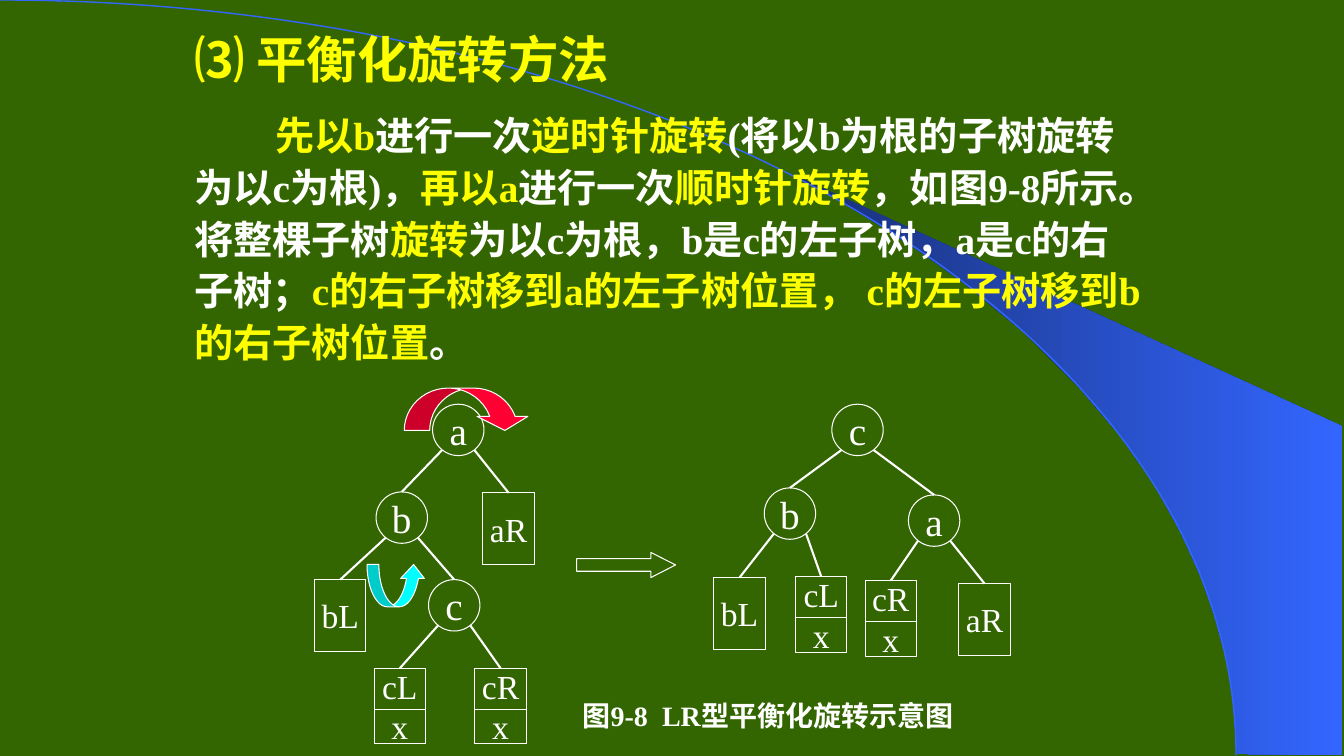
"""Build the slide on the LR balancing rotation of a binary tree."""
import math
import pptx
import pptx.dml.color
import pptx.enum.shapes
import pptx.enum.text
import pptx.oxml.ns
import pptx.util
from lxml import etree

Inches, Pt = pptx.util.Inches, pptx.util.Pt
KIND = pptx.enum.shapes.MSO_SHAPE
ALIGN = pptx.enum.text.PP_ALIGN
MIDDLE = pptx.enum.text.MSO_ANCHOR.MIDDLE
LATIN, HAN = "Times New Roman", "Noto Sans CJK SC"
GREEN, WHITE, YELLOW = "336600", "FFFFFF", "FFFF00"
BLUE, NAVY, CYAN, RED = "3366FF", "182F76", "00FFFF", "FF0033"

TITLE = "⑶ 平衡化旋转方法"
BODY = [
    ("先以b", YELLOW), ("进行一次", WHITE), ("逆时针旋转", YELLOW),
    ("(将以b为根的子树旋转为以c为根)，", WHITE), ("再以a", YELLOW),
    ("进行一次", WHITE), ("顺时针旋转", YELLOW),
    ("，如图9-8所示。将整棵子树", WHITE), ("旋转", YELLOW),
    ("为以c为根，b是c的左子树，a是c的右子树；", WHITE),
    ("c的右子树移到a的左子树位置， c的左子树移到b的右子树位置", YELLOW),
    ("。", WHITE),
]
CAPTION = [("图9-8  LR型平衡", False), ("化旋转示意图", True)]
BODY_BOX = (1.83, 0.17, 9.64, 3.58)
NOTE_BOX = (5.68, 6.9, 4.3, 0.39)

SWOOSH = [
    (12.27, 7.48), (13.31, 7.49), (13.31, 4.23), (7.86, 1.73), (8.32, 1.99),
    (8.7, 2.22), (9.13, 2.5), (9.55, 2.8), (10.16, 3.3), (10.7, 3.84),
    (11.1, 4.31), (11.44, 4.79), (11.71, 5.28), (11.91, 5.72),
    (12.04, 6.09), (12.17, 6.56), (12.23, 6.96),
]
ARC_WIDE, ARC_HIGH, STEPS = 12.26, 7.49, 90

SIDE = 0.51
HEIGHT = {"node": SIDE, "leaf": 0.71, "split": 0.75}
SPLIT_AT = 0.41
START_X, START_Y = 0.16, 0.2
TREES = [
    {"nodes": {"a": ("node", 4.29, 4.01), "b": ("node", 3.73, 4.88),
               "aR": ("leaf", 4.79, 4.89), "bL": ("leaf", 3.12, 5.75),
               "c": ("node", 4.25, 5.75), "cL": ("split", 3.71, 6.63),
               "cR": ("split", 4.71, 6.63)},
     "kids": {"a": ("b", "aR"), "b": ("bL", "c"), "c": ("cL", "cR")}},
    {"nodes": {"c": ("node", 8.25, 4.01), "b": ("node", 7.58, 4.84),
               "a": ("node", 9.01, 4.91), "bL": ("leaf", 7.08, 5.73),
               "cL": ("split", 7.89, 5.72), "cR": ("split", 8.58, 5.76),
               "aR": ("leaf", 9.51, 5.79)},
     "kids": {"c": ("b", "a"), "b": ("bL", "cL"), "a": ("cR", "aR")}},
]
ARROWS = [
    (KIND.RIGHT_ARROW, (5.72, 5.48, 0.98, 0.25), (0.5, 0.98), None),
    (KIND.CURVED_UP_ARROW, (3.64, 5.6, 0.58, 0.42), (0.28, 0.56, 0.33), CYAN),
    (KIND.CURVED_DOWN_ARROW, (4.01, 3.85, 1.25, 0.42), (0.6, 1.2, 0.33), RED),
]


def tint(target, color):
    target.rgb = pptx.dml.color.RGBColor.from_string(color)


def style(shape, fill=None, line=WHITE, width=0.75):
    shape.shadow.inherit = False
    if fill:
        shape.fill.solid()
        tint(shape.fill.fore_color, fill)
    else:
        shape.fill.background()
    tint(shape.line.color, line)
    shape.line.width = Pt(width)


def write(para, text, size, color=WHITE, bold=False, han=False):
    run = para.add_run()
    run.text = text
    font = run.font
    font.size, font.bold, font.name = Pt(size), bold, LATIN
    tint(font.color, color)
    if han:
        face = etree.SubElement(font._element, pptx.oxml.ns.qn("a:ea"))
        face.set("typeface", HAN)


def add_text(box):
    text = shapes.add_textbox(*(Inches(v) for v in box)).text_frame
    text.word_wrap = True
    return text


def link(start, end, width):
    line = shapes.add_connector(
        pptx.enum.shapes.MSO_CONNECTOR.STRAIGHT,
        *(Inches(v) for v in start + end))
    tint(line.line.color, WHITE)
    line.line.width = Pt(width)
    etree.SubElement(line._element.spPr, pptx.oxml.ns.qn("a:effectLst"))
    return line


def trace(points, close):
    first, *rest = [(Inches(x), Inches(y)) for x, y in points]
    pen = shapes.build_freeform(*first)
    pen.add_line_segments(rest, close=close)
    return pen.convert_to_shape()


def add_node(name, kind, left, top):
    form = KIND.OVAL if kind == "node" else KIND.RECTANGLE
    box = (left, top, SIDE, HEIGHT[kind])
    shape = shapes.add_shape(form, *(Inches(v) for v in box))
    style(shape)
    text = shape.text_frame
    text.word_wrap = False
    text.vertical_anchor = MIDDLE
    words = [name, "x"] if kind == "split" else [name]
    for i, word in enumerate(words):
        para = text.add_paragraph() if i else text.paragraphs[0]
        para.alignment = ALIGN.CENTER
        write(para, word, 28 if kind == "node" else 24)
    if kind == "split":
        y = top + SPLIT_AT
        link((left, y), (left + SIDE, y), 0.75)
    return shape


def add_tree(nodes, kids):
    made = {name: add_node(name, *spot) for name, spot in nodes.items()}
    for name, pair in kids.items():
        _, left, top = nodes[name]
        mid = left + SIDE / 2
        for kid, sign in zip(pair, (-1, 1)):
            _, x, y = nodes[kid]
            start = (mid + sign * START_X, top + SIDE / 2 + START_Y)
            edge = link(start, (x + SIDE / 2, y), 1.5)
            edge.end_connect(made[kid], 0)


deck = pptx.Presentation()
deck.slide_width, deck.slide_height = Inches(13.33), Inches(7.5)
slide = deck.slides.add_slide(deck.slide_layouts[6])
shapes = slide.shapes
slide.background.fill.solid()
tint(slide.background.fill.fore_color, GREEN)

swoosh = trace(SWOOSH, True)
style(swoosh)
swoosh.line.fill.background()
swoosh.fill.gradient()
swoosh.fill.gradient_angle = 0
for stop, color in zip(swoosh.fill.gradient_stops, (NAVY, BLUE)):
    tint(stop.color, color)

turns = [math.pi / 2 * i / STEPS for i in range(STEPS + 1)]
arc = trace([(ARC_WIDE * math.sin(t), ARC_HIGH * (1 - math.cos(t)))
             for t in turns], False)
style(arc, line=BLUE, width=1)

text = add_text(BODY_BOX)
head, body = text.paragraphs[0], text.add_paragraph()
write(head, TITLE, 36, YELLOW, True)
for words, color in BODY:
    write(body, words, 28, color, True)
head.line_spacing = body.line_spacing = 1.1
body.space_before = Pt(13)
body._p.get_or_add_pPr().set("indent", str(Inches(0.8)))

for tree in TREES:
    add_tree(**tree)
for kind, spot, bends, fill in ARROWS:
    arrow = shapes.add_shape(kind, *(Inches(v) for v in spot))
    style(arrow, fill)
    for i, bend in enumerate(bends):
        arrow.adjustments[i] = bend

note = add_text(NOTE_BOX)
note.vertical_anchor = MIDDLE
for words, han in CAPTION:
    write(note.paragraphs[0], words, 20, WHITE, True, han)

deck.save("out.pptx")
